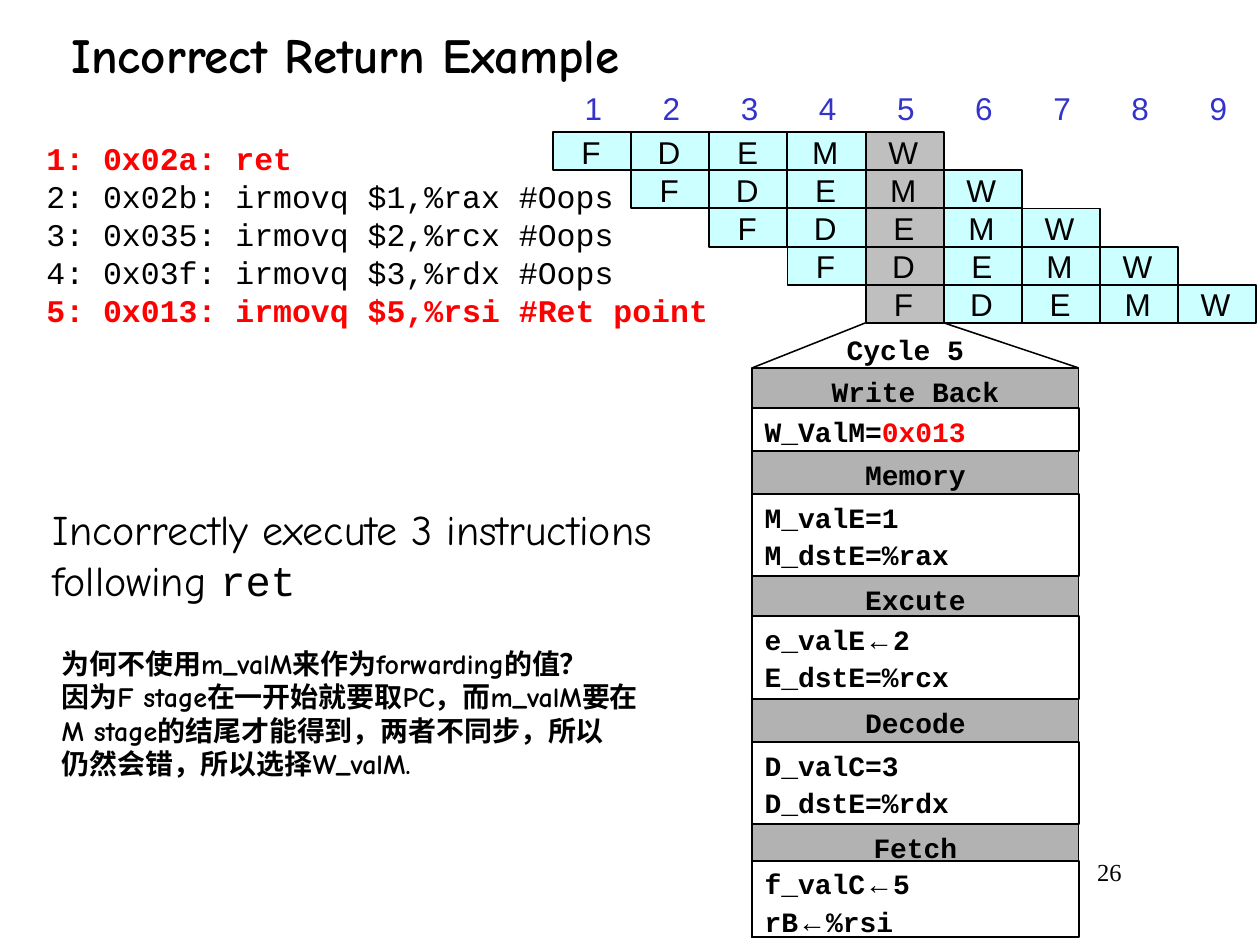
from dataclasses import dataclass, field, replace
from typing import Optional

import pptx
import pptx.dml.color
import pptx.enum.shapes
import pptx.enum.text
import pptx.util
from lxml import etree
from pptx.util import Inches

ALIGN = pptx.enum.text.PP_ALIGN
ANCHOR = pptx.enum.text.MSO_ANCHOR


@dataclass(frozen=True)
class Theme:
    black: str = "000000"
    white: str = "FFFFFF"
    red: str = "FF0000"
    blue: str = "3333CC"
    cyan: str = "CCFFFF"
    grey: str = "BFBFBF"
    head: str = "B2B2B2"
    sans: str = "Arial"
    mono: str = "Courier New"
    comic: str = "Comic Neue"
    serif: str = "Times New Roman"
    title: float = 28
    body: float = 24
    code: float = 18
    small: float = 16
    page: float = 14
    thin: float = 0.88
    edge: float = 1.13


T = Theme()


@dataclass(frozen=True)
class Run:
    text: str
    font: str = T.mono
    size: float = T.small
    color: str = T.black
    bold: bool = True


@dataclass(frozen=True)
class Box:
    left: float
    top: float
    width: float
    height: float


@dataclass(frozen=True)
class Style:
    align: ALIGN = ALIGN.LEFT
    anchor: ANCHOR = ANCHOR.TOP
    pitch: float = 1.0
    before: float = 0
    side: float = 0.1
    inset: float = 0.05
    wrap: bool = True


@dataclass(frozen=True)
class Stage:
    name: str
    top: float
    mid: float
    end: float
    lines: list = field(default_factory=list)


def color(code: str) -> pptx.dml.color.RGBColor:
    return pptx.dml.color.RGBColor.from_string(code)


def write(shape, lines: list, style: Style) -> None:
    """Fill a shape with lines, each a list of runs."""
    frame = shape.text_frame
    frame.word_wrap = style.wrap
    frame.vertical_anchor = style.anchor
    frame.margin_left = frame.margin_right = Inches(style.side)
    frame.margin_top = frame.margin_bottom = Inches(style.inset)
    for i, line in enumerate(lines):
        para = frame.add_paragraph() if i else frame.paragraphs[0]
        para.alignment = style.align
        para.line_spacing = style.pitch
        if i:
            para.space_before = pptx.util.Pt(style.before)
        for item in line:
            run = para.add_run()
            run.text = item.text
            run.font.name = item.font
            run.font.size = pptx.util.Pt(item.size)
            run.font.bold = item.bold
            run.font.color.rgb = color(item.color)


def add_text(slide, box: Box, lines: list, style: Style) -> None:
    shape = slide.shapes.add_textbox(
        Inches(box.left), Inches(box.top), Inches(box.width), Inches(box.height))
    write(shape, lines, style)


def add_rect(slide, box: Box, fill: str, line: Optional[str] = None, width: float = T.edge):
    shape = slide.shapes.add_shape(
        pptx.enum.shapes.MSO_SHAPE.RECTANGLE,
        Inches(box.left), Inches(box.top), Inches(box.width), Inches(box.height))
    shape.shadow.inherit = False
    shape.fill.solid()
    shape.fill.fore_color.rgb = color(fill)
    if line:
        shape.line.color.rgb = color(line)
        shape.line.width = pptx.util.Pt(width)
    else:
        shape.line.fill.background()
    return shape


def add_line(slide, x1: float, y1: float, x2: float, y2: float) -> None:
    line = slide.shapes.add_connector(
        pptx.enum.shapes.MSO_CONNECTOR.STRAIGHT,
        Inches(x1), Inches(y1), Inches(x2), Inches(y2))
    line.line.color.rgb = color(T.black)
    line.line.width = pptx.util.Pt(T.thin)
    etree.SubElement(line._element.spPr, pptx.oxml.ns.qn("a:effectLst"))


BLOCK = Style(pitch=0.9, before=4, inset=0.08)
LABEL = Style(pitch=0.9, side=0, inset=0, wrap=False)

# Pipeline grid: one column a cycle, one row an instruction
LEFT, TOP, COL, ROW = 4.39, 1.05, 0.62, 1.21 / 4
CYCLES, FOCUS = 9, 5
WIDTHS = {"F": 0.15, "D": 0.18, "E": 0.16, "M": 0.21, "W": 0.24}

CODE = [
    ("1: 0x02a: ret", True),
    ("2: 0x02b: irmovq $1,%rax #Oops", False),
    ("3: 0x035: irmovq $2,%rcx #Oops", False),
    ("4: 0x03f: irmovq $3,%rdx #Oops", False),
    ("5: 0x013: irmovq $5,%rsi #Ret point", True),
]

ARROW = Run("←", font=T.sans, bold=False)
STACK, SPAN = 5.97, 2.59
STAGES = [
    Stage("Write Back", 2.92, 3.24, 3.58, [[Run("W_ValM="), Run("0x013", color=T.red)]]),
    Stage("Memory", 3.58, 3.92, 4.57, [[Run("M_valE=1")], [Run("M_dstE=%rax")]]),
    Stage("Excute", 4.57, 4.89, 5.55,
          [[Run("e_valE"), ARROW, Run("2")], [Run("E_dstE=%rcx")]]),
    Stage("Decode", 5.55, 5.89, 6.54, [[Run("D_valC=3")], [Run("D_dstE=%rdx")]]),
    Stage("Fetch", 6.54, 6.83, 7.44,
          [[Run("f_valC"), ARROW, Run("5")], [Run("rB"), ARROW, Run("%rsi")]]),
]

NOTE = [
    "为何不使用m_valM来作为forwarding的值？",
    "因为F stage在一开始就要取PC，而m_valM要在",
    "M stage的结尾才能得到，两者不同步，所以",
    "仍然会错，所以选择W_valM.",
]


def add_label(slide, mid: float, top: float, width: float, height: float, run: Run) -> None:
    """Place a one-line label centred on mid."""
    add_text(slide, Box(mid - width / 2, top, width, height), [[run]], LABEL)


def add_code(slide) -> None:
    shape = add_rect(slide, Box(0.27, 1.08, 9.56, 1.7), T.white, T.white, 0.75)
    lines = [[Run(text, size=T.code, color=T.red if key else T.black, bold=key)]
             for text, key in CODE]
    write(shape, lines, replace(BLOCK, pitch=0.8, before=4.5))


def add_grid(slide) -> None:
    mark = Run("", font=T.sans, size=T.code, bold=False)
    for i in range(CYCLES):
        left = LEFT + i * COL
        add_rect(slide, Box(left, 0.67, COL, ROW), T.white)
        add_label(slide, left + COL / 2 + 0.01, 0.74, 0.14, 0.27,
                  replace(mark, text=str(i + 1), color=T.blue))
    for row in range(len(CODE)):
        top = TOP + row * ROW
        for i, (step, width) in enumerate(WIDTHS.items(), start=row):
            left = LEFT + i * COL
            fill = T.grey if i + 1 == FOCUS else T.cyan
            add_rect(slide, Box(left, top, COL, ROW), fill, T.black)
            add_label(slide, left + COL / 2 - 0.01, top + 0.04, width, 0.27,
                      replace(mark, text=step))


def add_stack(slide) -> None:
    left, base, first = LEFT + (FOCUS - 1) * COL, TOP + len(CODE) * ROW, STAGES[0].top
    add_label(slide, left + COL / 2 + 0.01, 2.67, 0.94, 0.24, Run("Cycle 5"))
    add_line(slide, left, base, STACK, first)
    add_line(slide, left + COL, base, STACK + SPAN, first)
    for stage in STAGES:
        head = add_rect(slide, Box(STACK, stage.top, SPAN, stage.end - stage.top),
                        T.head, T.black, T.thin)
        write(head, [[Run(stage.name)]], replace(BLOCK, align=ALIGN.CENTER))
        body = add_rect(slide, Box(STACK, stage.mid, SPAN, stage.end - stage.mid),
                        T.white, T.black)
        write(body, stage.lines, BLOCK)


def main() -> None:
    deck = pptx.Presentation()
    deck.slide_width, deck.slide_height = Inches(10), Inches(7.5)
    slide = deck.slides.add_slide(deck.slide_layouts[6])
    add_code(slide)
    add_text(slide, Box(7.58, 6.75, 1.42, 0.5),
             [[Run("26", T.serif, T.page, bold=False)]], Style(align=ALIGN.RIGHT))
    claim = Run("Incorrectly execute 3 instructions following ", T.comic, T.body, bold=False)
    add_text(slide, Box(0.32, 3.92, 5.6, 1.13),
             [[claim, replace(claim, text="ret", font=T.mono)]], Style(inset=0.08))
    add_grid(slide)
    add_stack(slide)
    add_text(slide, Box(0.47, 0, 9.53, 0.85),
             [[Run("Incorrect Return Example", T.comic, T.title)]],
             Style(anchor=ANCHOR.MIDDLE))
    add_text(slide, Box(0.39, 5.08, 4.97, 1.18),
             [[Run(text, T.comic)] for text in NOTE], Style())
    deck.save("out.pptx")


if __name__ == "__main__":
    main()
